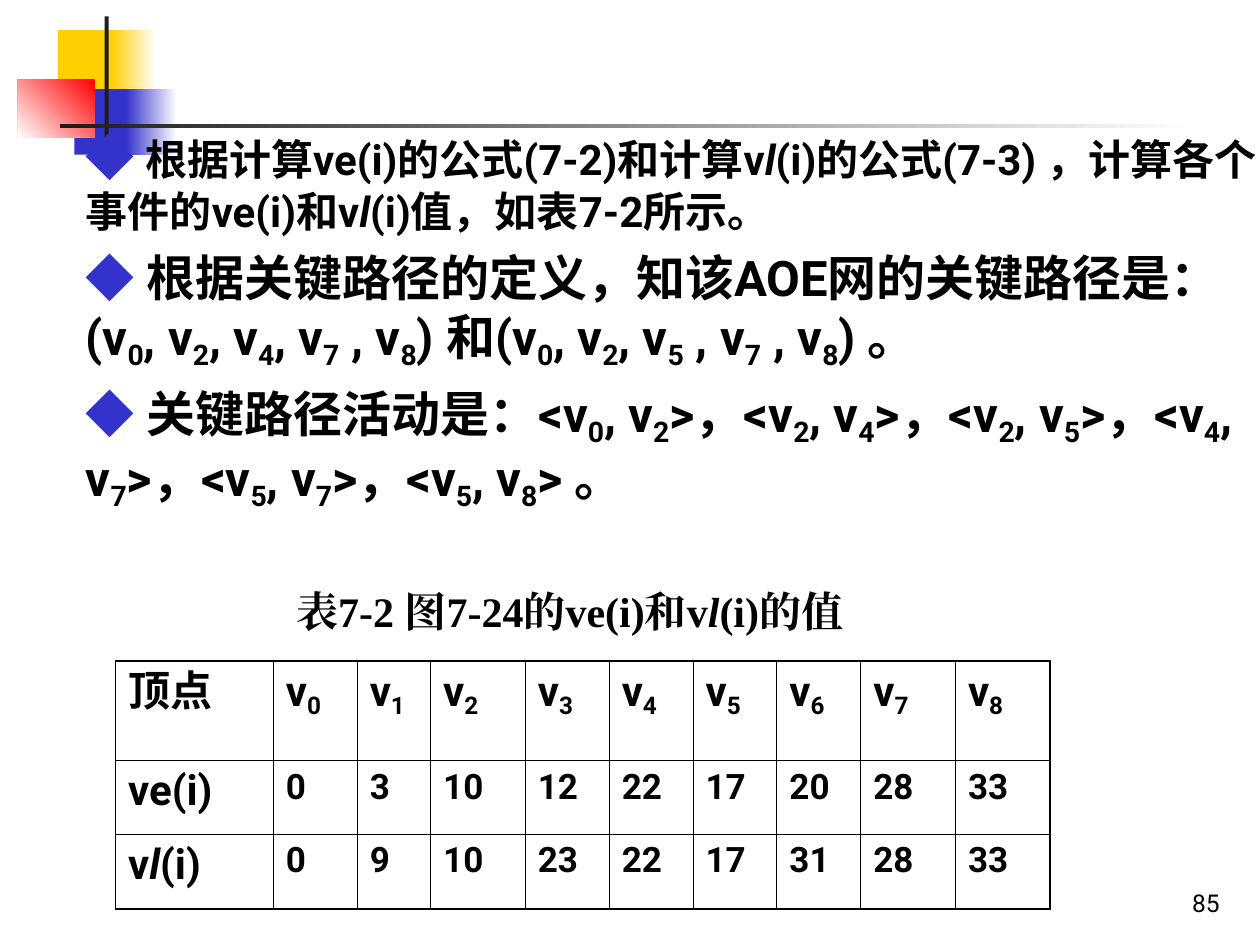
"""Builds the slide on critical paths in an AOE network with its table of event times."""
from lxml import etree
from pptx import Presentation
from pptx import util as u
from pptx.dml.color import RGBColor
from pptx.enum import shapes, text
from pptx.oxml.ns import qn

THEME = {
    "sans": "Roboto", "serif": "Times New Roman",
    "black": "000000", "white": "FFFFFF", "blue": "3333CC",
    "yellow": "FFCF01", "red": "FF0000", "dark": "1C1C1C",
    "large": 28, "medium": 24, "value": 20, "small": 14,
    "outer": 1.08, "inner": 0.45,
}

MARKS = {"_": "subscript", "~": "italic", "^": "accent"}

BODY = [
    ("^◆ 根据计算ve(i)的公式(7-2)和计算v~l(i)的公式(7-3) ，计算各个事件的ve(i)和v~l(i)值，如表7-2所示。", "medium", 0),
    ("^◆ 根据关键路径的定义，知该AOE网的关键路径是： "
     "(v_0, v_2, v_4, v_7 , v_8) 和(v_0, v_2, v_5 , v_7 , v_8) 。", "large", 7),
    ("^◆ 关键路径活动是：<v_0, v_2>，<v_2, v_4>，<v_2, v_5>，"
     "<v_4, v_7>，<v_5, v_7>，<v_5, v_8> 。", "large", 7),
]
CAPTION = "表7-2 图7-24的ve(i)和v~l(i)的值"
PAGE_NUMBER = "85"

EVENT_TIMES = [
    ["顶点"] + [f"v_{vertex}" for vertex in range(9)],
    ["ve(i)", 0, 3, 10, 12, 22, 17, 20, 28, 33],
    ["v~l(i)", 0, 9, 10, 23, 22, 17, 31, 28, 33],
]
COLUMN_WIDTHS = [3.18, 1.69, 1.48, 1.91, 1.69, 1.69, 1.69, 1.69, 1.91, 1.91]
ROW_HEIGHTS = [2, 1.48, 1.51]

DECORATION = [
    ((1.17, 0.61, 1.22, 1.32), ["yellow"], 0),
    ((2.24, 0.61, 0.91, 1.32), ["white", "yellow"], 180),
    ((1.5, 1.8, 1.17, 1.32), ["blue"], 0),
    ((2.54, 1.8, 1.02, 1.32), ["white", "blue"], 180),
    ((0.36, 1.6, 1.55, 1.17), ["red", "white"], 225),
    ((2.11, 0.33, 0.08, 2.92), ["dark"], 0),
    ((1.22, 2.51, 22.86, 0.08), ["white", "dark"], 180),
]


def color(name):
    return RGBColor.from_string(THEME[name])


def split_marks(content):
    """Yields pieces of text, each with the style that a mark gives to the character after it."""
    plain, style = "", None
    for character in content:
        if style:
            yield character, style
            style = None
        elif character in MARKS:
            if plain:
                yield plain, None
            plain, style = "", MARKS[character]
        else:
            plain += character
    if plain:
        yield plain, None


def write(paragraph, content, font="sans", size="medium", bold=True, before=0,
          align=text.PP_ALIGN.LEFT, baseline=-20000):
    """Writes marked text into a paragraph."""
    paragraph.alignment = align
    paragraph.line_spacing = 1.0
    paragraph.space_before = u.Pt(before)
    for piece, style in split_marks(content):
        run = paragraph.add_run()
        run.text = piece
        accent = style == "accent"
        run.font.size = u.Pt(THEME["large" if accent else size])
        run.font.bold = bold
        run.font.italic = style == "italic"
        run.font.color.rgb = color("blue" if accent else "black")
        run.font.name = THEME[font]
        properties = run.font._element
        etree.SubElement(properties, qn("a:ea"), typeface=THEME[font])
        if style == "subscript":
            properties.set("baseline", str(baseline))


def add_frame(slide, place, anchor, wrap=True):
    frame = slide.shapes.add_textbox(*map(u.Cm, place)).text_frame
    frame.word_wrap = wrap
    frame.vertical_anchor = anchor
    return frame


def add_block(slide, place, colors, angle):
    block = slide.shapes.add_shape(shapes.MSO_SHAPE.RECTANGLE, *map(u.Cm, place))
    block.shadow.inherit = False
    block.line.fill.background()
    if len(colors) == 1:
        block.fill.solid()
        block.fill.fore_color.rgb = color(colors[0])
        return
    block.fill.gradient()
    block.fill.gradient_angle = angle
    for position, (stop, name) in enumerate(zip(block.fill.gradient_stops, colors)):
        stop.position = position
        stop.color.rgb = color(name)


def add_borders(cell, outer_sides):
    properties = cell._tc.get_or_add_tcPr()
    for side in "LRTB":
        width = THEME["outer" if side in outer_sides else "inner"]
        line = etree.SubElement(properties, qn(f"a:ln{side}"), w=str(u.Pt(width)))
        fill = etree.SubElement(line, qn("a:solidFill"))
        etree.SubElement(fill, qn("a:srgbClr"), val=THEME["black"])


def add_event_table(slide, left, top):
    rows, columns = len(ROW_HEIGHTS), len(COLUMN_WIDTHS)
    table = slide.shapes.add_table(
        rows, columns, u.Cm(left), u.Cm(top),
        u.Cm(sum(COLUMN_WIDTHS)), u.Cm(sum(ROW_HEIGHTS))).table
    table.first_row = table.horz_banding = False
    for column, width in zip(table.columns, COLUMN_WIDTHS):
        column.width = u.Cm(width)
    for row, height in zip(table.rows, ROW_HEIGHTS):
        row.height = u.Cm(height)
    for r, values in enumerate(EVENT_TIMES):
        for c, value in enumerate(values):
            cell = table.cell(r, c)
            edges = {"L": c == 0, "R": c == columns - 1, "T": r == 0, "B": r == rows - 1}
            add_borders(cell, [side for side, outer in edges.items() if outer])
            cell.fill.background()
            write(cell.text_frame.paragraphs[0], str(value),
                  size="value" if r and c else "medium", baseline=-18000)


def main():
    presentation = Presentation()
    presentation.slide_width, presentation.slide_height = u.Cm(25.4), u.Cm(19.05)
    slide = presentation.slides.add_slide(presentation.slide_layouts[6])
    for place, colors, angle in DECORATION:
        add_block(slide, place, colors, angle)

    add_event_table(slide, 2.33, 13.33)
    caption = add_frame(slide, (5.72, 11.68, 11.86, 1.25), text.MSO_ANCHOR.MIDDLE, wrap=False)
    write(caption.paragraphs[0], CAPTION, font="serif")

    body = add_frame(slide, (0, 2.42, 25.68, 8.71), text.MSO_ANCHOR.TOP)
    for index, (content, size, before) in enumerate(BODY):
        paragraph = body.add_paragraph() if index else body.paragraphs[0]
        properties = paragraph._p.get_or_add_pPr()
        properties.set("marL", str(u.Cm(1.48)))
        properties.set("indent", "0")
        write(paragraph, content, size=size, before=before)

    number = add_frame(slide, (19.56, 17.35, 5.28, 1.27), text.MSO_ANCHOR.BOTTOM)
    write(number.paragraphs[0], PAGE_NUMBER, size="small", bold=False, align=text.PP_ALIGN.RIGHT)
    presentation.save("out.pptx")


if __name__ == "__main__":
    main()
